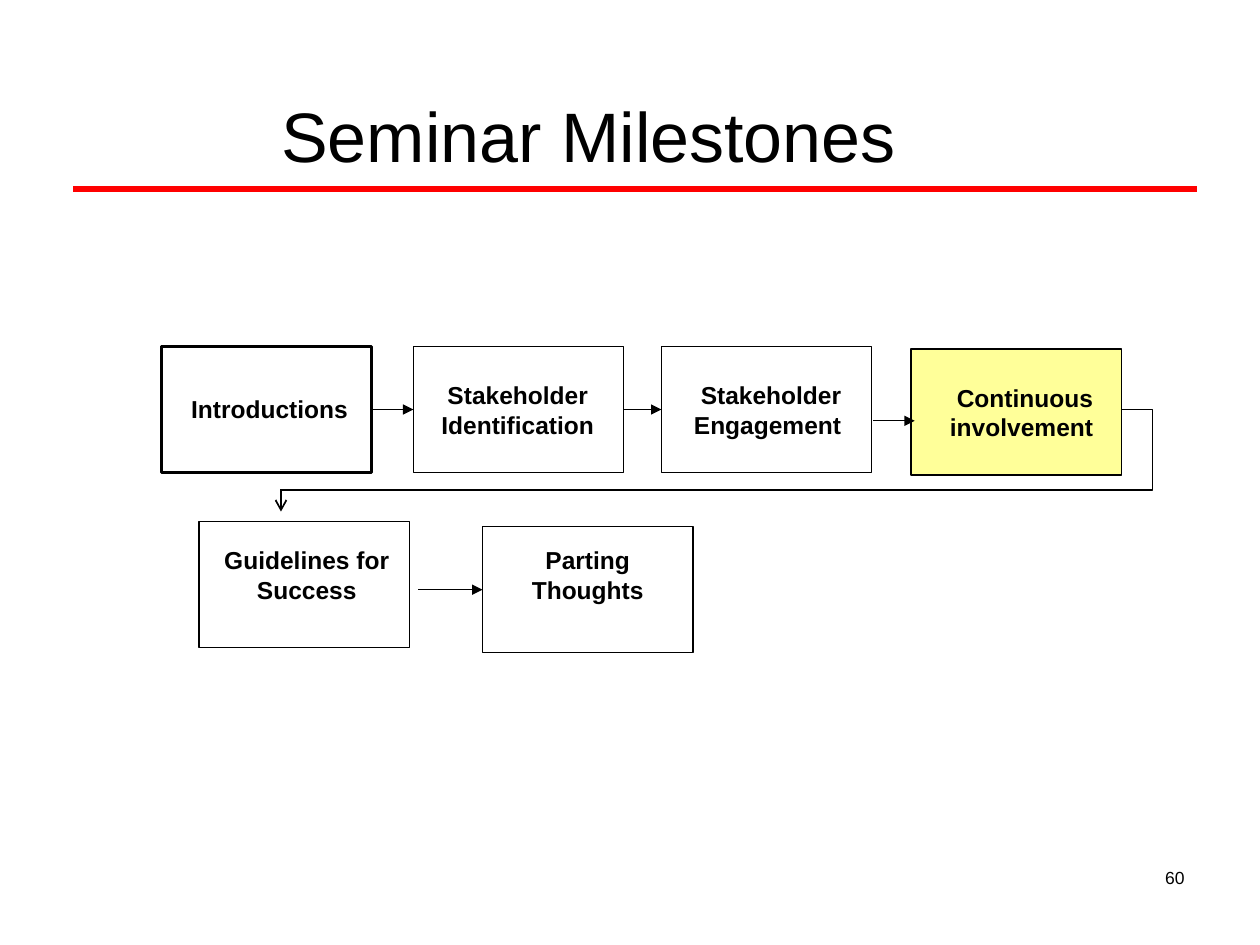
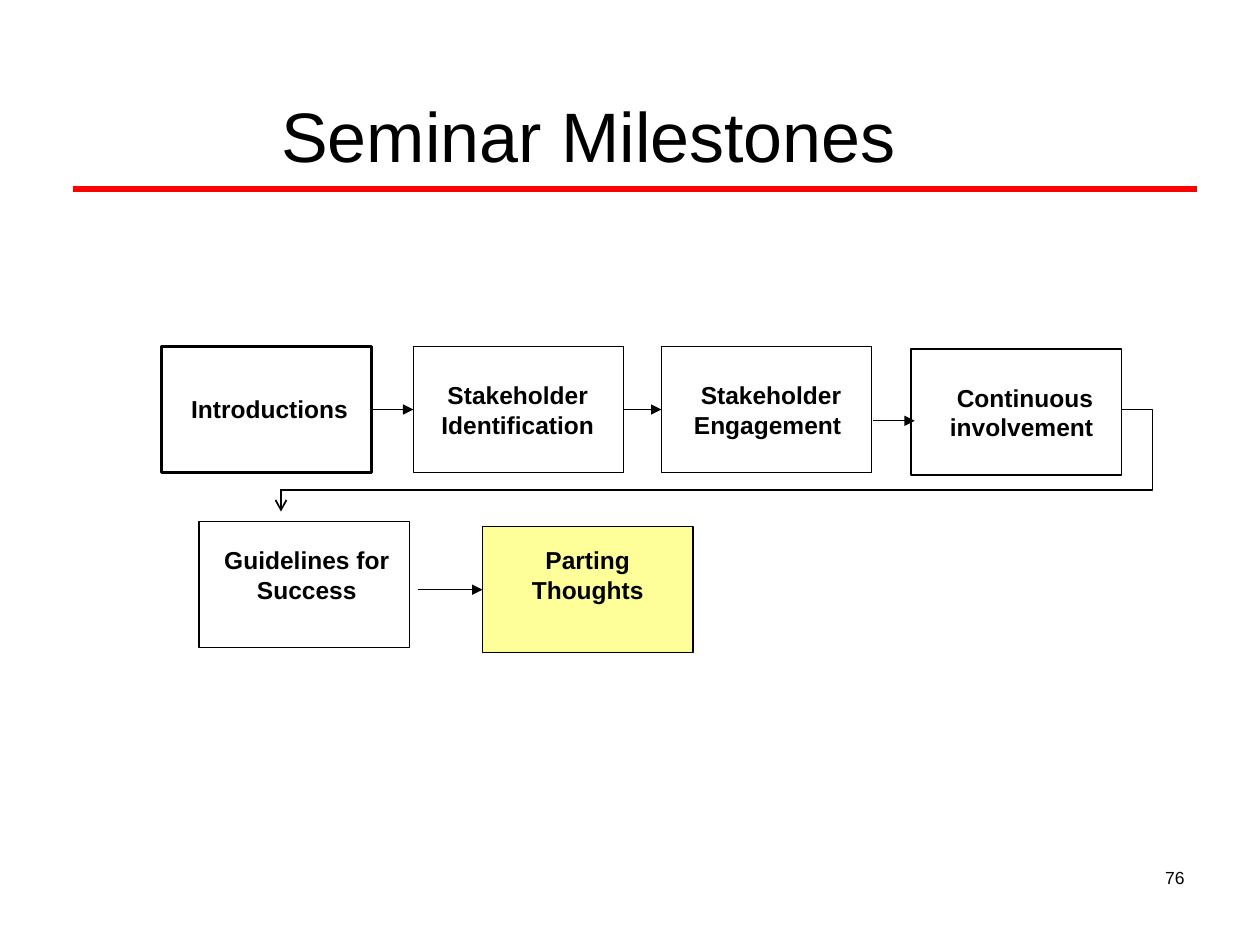
from typing import NamedTuple, Optional

from lxml import etree
from pptx import Presentation
from pptx.dml.color import RGBColor
from pptx.enum.shapes import MSO_CONNECTOR as Connector, MSO_SHAPE as Preset
from pptx.enum.text import MSO_ANCHOR as Anchor, PP_ALIGN as Align
from pptx.oxml.ns import qn
from pptx.util import Inches, Pt

# Shared look
BLACK = RGBColor(0x00, 0x00, 0x00)
RED = RGBColor(0xFF, 0x00, 0x00)
YELLOW = RGBColor(0xFF, 0xFF, 0x99)
FONT = "Arial"

# Grid: ten columns by seven and a half rows
SLIDE_WIDTH, SLIDE_HEIGHT = Inches(10), Inches(7.5)
COLUMN, ROW = SLIDE_WIDTH / 10, SLIDE_HEIGHT / 7.5
BOX_COLUMNS, BOX_ROWS = 1.67, 1


class Area(NamedTuple):
    column: float
    row: float
    columns: float
    rows: float

    def lengths(self) -> tuple:
        return (round(self.column * COLUMN), round(self.row * ROW),
                round(self.columns * COLUMN), round(self.rows * ROW))


class Milestone(NamedTuple):
    text: str
    column: float
    row: float
    label: Area
    outline: float = 0.75


class Line(NamedTuple):
    start: tuple
    end: tuple
    width: float = 0.75
    head: Optional[str] = "triangle"
    color: RGBColor = BLACK
    bend: Optional[int] = None  # elbow position, in 1/100000 of the width


MILESTONES = [
    Milestone("Introductions", 1.28, 2.75, Area(1.34, 3.08, 1.6, 0.34), 1.5),
    Milestone("Stakeholder Identification", 3.28, 2.75, Area(3.31, 2.97, 1.6, 0.8), 0.5),
    Milestone("Stakeholder Engagement ", 5.25, 2.75, Area(5.24, 2.97, 1.76, 0.57)),
    Milestone("Continuous involvement ", 7.23, 2.77, Area(7.26, 2.99, 1.75, 0.57)),
    Milestone("Guidelines for Success", 1.58, 4.14, Area(1.66, 4.28, 1.55, 0.57)),
    Milestone("Parting Thoughts", 3.83, 4.18, Area(4.01, 4.28, 1.31, 0.57)),
]

TITLE_RULE = Line((0.58, 1.5), (9.5, 1.5), 3, None, RED)
FLOW = [
    Line((2.95, 3.25), (3.28, 3.25)),
    Line((4.95, 3.25), (5.25, 3.25)),
    Line((6.93, 3.34), (7.26, 3.34)),
    Line((3.32, 4.68), (3.83, 4.68)),
    # Return to the second row
    Line((8.9, 3.25), (2.22, 3.89), 1, None, bend=-3700),
    Line((2.23, 3.89), (2.23, 4.06), 1, "arrow"),
]

# Highlighted milestone and page number of each slide
PAGES = [("Continuous involvement ", 60), ("Parting Thoughts", 76)]


def add_text(slide, text: str, area: Area, size: float, align=Align.CENTER,
             bold: bool = False, anchor=Anchor.TOP) -> None:
    text_frame = slide.shapes.add_textbox(*area.lengths()).text_frame
    text_frame.text = text
    text_frame.word_wrap = True
    text_frame.vertical_anchor = anchor
    paragraph = text_frame.paragraphs[0]
    paragraph.alignment = align
    font = paragraph.runs[0].font
    font.name, font.size, font.bold = FONT, Pt(size), bold
    font.color.rgb = BLACK


def add_line(slide, line: Line) -> None:
    kind = Connector.STRAIGHT if line.bend is None else Connector.ELBOW
    points = [round(value * unit) for point in (line.start, line.end)
              for value, unit in zip(point, (COLUMN, ROW))]
    connector = slide.shapes.add_connector(kind, *points)
    connector.line.color.rgb = line.color
    connector.line.width = Pt(line.width)
    properties = connector._element.spPr
    if line.head:
        etree.SubElement(connector.line._get_or_add_ln(), qn("a:tailEnd"), type=line.head)
    if line.bend is not None:
        guides = properties.find(qn("a:prstGeom")).find(qn("a:avLst"))
        etree.SubElement(guides, qn("a:gd"), name="adj1", fmla=f"val {line.bend}")
    etree.SubElement(properties, qn("a:effectLst"))


def add_box(slide, milestone: Milestone, highlighted: bool) -> None:
    area = Area(milestone.column, milestone.row, BOX_COLUMNS, BOX_ROWS)
    shape = slide.shapes.add_shape(Preset.RECTANGLE, *area.lengths())
    shape.shadow.inherit = False
    shape.line.color.rgb = BLACK
    shape.line.width = Pt(milestone.outline)
    if highlighted:
        shape.fill.solid()
        shape.fill.fore_color.rgb = YELLOW
    else:
        shape.fill.background()


def add_milestone_slide(presentation, current: str, number: int) -> None:
    slide = presentation.slides.add_slide(presentation.slide_layouts[6])
    # Title and page number
    add_line(slide, TITLE_RULE)
    add_text(slide, "Seminar Milestones", Area(0.17, 0.44, 9, 1.25), 40,
             anchor=Anchor.MIDDLE)
    add_text(slide, str(number), Area(7.17, 6.83, 2.33, 0.52), 10, Align.RIGHT)
    # Boxes with their labels, then the arrows on top
    for milestone in MILESTONES:
        add_box(slide, milestone, milestone.text == current)
        add_text(slide, milestone.text, milestone.label, 14, bold=True)
    for line in FLOW:
        add_line(slide, line)


def main() -> None:
    presentation = Presentation()
    presentation.slide_width, presentation.slide_height = SLIDE_WIDTH, SLIDE_HEIGHT
    for current, number in PAGES:
        add_milestone_slide(presentation, current, number)
    presentation.save("out.pptx")


if __name__ == "__main__":
    main()
